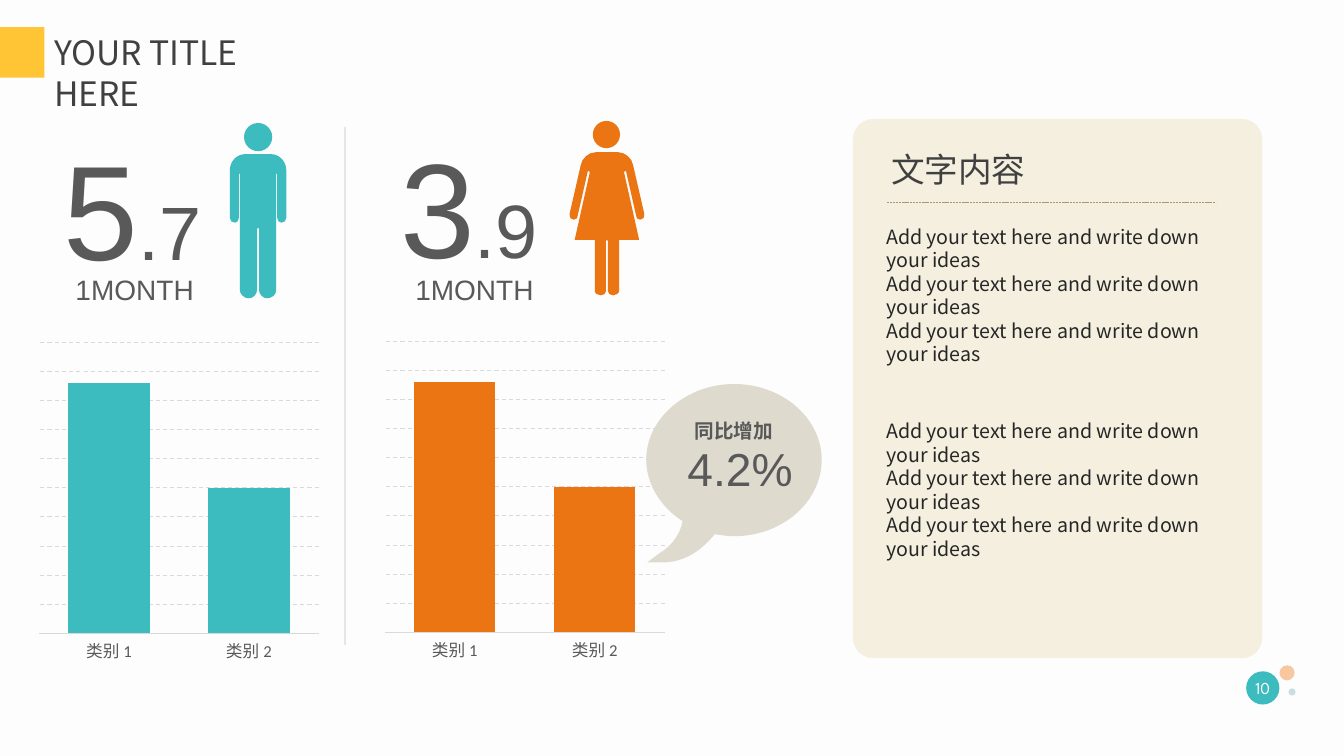
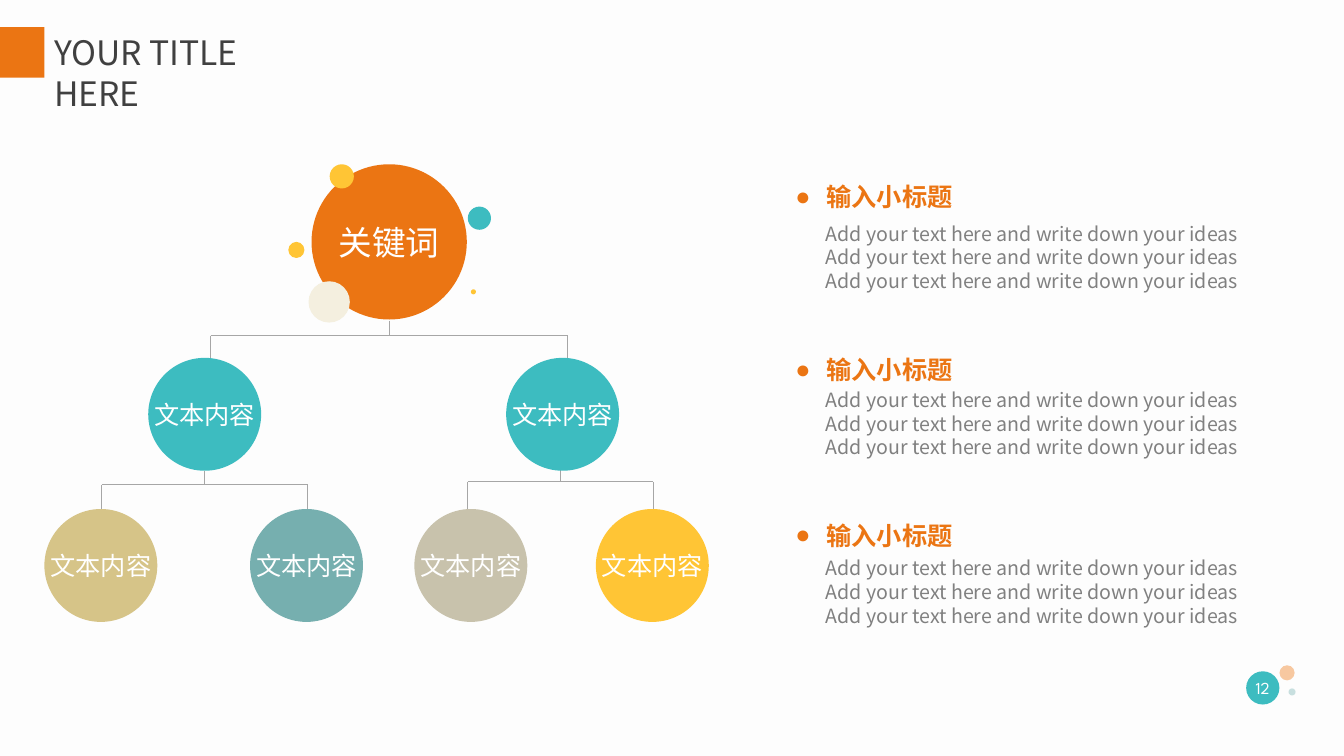
from lxml import etree
from pptx import Presentation
from pptx.chart.data import CategoryChartData
from pptx.dml.color import RGBColor
from pptx.enum.chart import XL_CHART_TYPE, XL_TICK_LABEL_POSITION, XL_TICK_MARK
from pptx.enum.dml import MSO_LINE
from pptx.enum.shapes import MSO_CONNECTOR, MSO_SHAPE
from pptx.enum.text import MSO_ANCHOR, PP_ALIGN
from pptx.oxml.ns import qn
from pptx.util import Emu, Pt

PX = 9144  # 100 px to the inch

TEAL = RGBColor(0x3D, 0xBC, 0xC0)
ORANGE = RGBColor(0xEB, 0x75, 0x13)
YELLOW = RGBColor(0xFF, 0xC5, 0x35)
CREAM = RGBColor(0xF4, 0xEF, 0xDF)
STONE = RGBColor(0xDE, 0xDA, 0xCD)
TAUPE = RGBColor(0xC8, 0xC2, 0xAC)
SAND = RGBColor(0xD6, 0xC4, 0x88)
SAGE = RGBColor(0x76, 0xAF, 0xAF)
PEACH = RGBColor(0xF7, 0xC8, 0xA0)
MIST = RGBColor(0xC8, 0xDF, 0xDF)
KHAKI = RGBColor(0xA3, 0x99, 0x74)
PAPER = RGBColor(0xFD, 0xFD, 0xFD)
WHITE = RGBColor(0xFF, 0xFF, 0xFF)
INK = RGBColor(0x26, 0x26, 0x26)
HEADING = RGBColor(0x40, 0x40, 0x40)
SLATE = RGBColor(0x59, 0x59, 0x59)
GREY = RGBColor(0x80, 0x80, 0x80)
BRANCH = RGBColor(0xA6, 0xA6, 0xA6)
GRID = RGBColor(0xD9, 0xD9, 0xD9)
RULE = RGBColor(0xE7, 0xE6, 0xE6)

SANS, ARIAL = "Noto Sans CJK SC", "Arial"
IDEAS = ["Add your text here and write down your ideas"] * 3

# Outlines: a pair is a straight step, six numbers are a Bézier curve
MAN_HALF = [
    (256, 153), (243, 153), (235, 153, 228, 160, 228, 169), (228, 216),
    (228, 219, 230, 221, 233, 221), (235, 221, 237, 219, 237, 216),
    (237, 173), (238, 172), (238, 288), (238, 292, 242, 296, 247, 296),
    (251, 296, 255, 292, 255, 288), (255, 227), (256, 226),
]
WOMAN_HALF = [
    (602, 151), (591, 151), (584, 151, 577, 157, 576, 164), (565, 212),
    (565, 216, 566, 218, 569, 218), (572, 218, 573, 216, 573, 214),
    (583, 170), (583, 169, 585, 169, 585, 171), (570, 238), (590, 238),
    (590, 289), (590, 291, 593, 293, 596, 293),
    (599, 293, 601, 291, 601, 289), (601, 239), (602, 238),
]
BUBBLE = [
    (728, 381), (681, 381, 641, 415, 641, 456),
    (641, 480, 655, 503, 677, 517), (676, 523, 672, 538, 654, 549),
    (642, 558), (657, 558), (686, 558, 703, 537, 709, 530),
    (715, 531, 722, 532, 728, 532), (776, 532, 815, 498, 815, 456),
    (815, 415, 776, 381, 728, 381),
]


def mirror(half):
    """Close a left half with its reflection about its first point."""
    axis = half[0][0]
    steps = list(half)
    for before, step in zip(half[-2::-1], half[:0:-1]):
        back = before[-2:]
        if len(step) == 6:
            back = step[2:4] + step[:2] + back
        steps.append(tuple(v if i % 2 else 2 * axis - v for i, v in enumerate(back)))
    return steps


class Deck:
    def __init__(self):
        self.prs = Presentation()
        self.prs.slide_width, self.prs.slide_height = Emu(1333 * PX), Emu(750 * PX)
        fill = self.prs.slide_master.background.fill
        fill.solid()
        fill.fore_color.rgb = PAPER
        self.s = None

    def slide(self, number, color):
        """Start a slide with the shared footer, title tab and title."""
        self.s = self.prs.slides.add_slide(self.prs.slide_layouts[6])
        self.circle(1236, 666, 33, TEAL, number, 12, "League Spartan")
        self.circle(1269, 660, 15, PEACH)
        self.circle(1278, 683, 7, MIST)
        self.shape(MSO_SHAPE.RECTANGLE, 0, 27, 44, 50, color)
        self.text(44, 27, 230, 50, ["YOUR TITLE HERE"], 24, HEADING)

    def paint(self, sp, color):
        sp.shadow.inherit = False
        sp.fill.solid()
        sp.fill.fore_color.rgb = color
        sp.line.fill.background()
        return sp

    def shape(self, kind, x, y, w, h, color):
        box = [Emu(v * PX) for v in (x, y, w, h)]
        return self.paint(self.s.shapes.add_shape(kind, *box), color)

    def outline(self, steps, color):
        points = [step[i:i + 2] for step in steps for i in range(0, len(step), 2)]
        builder = self.s.shapes.build_freeform(*points[0], scale=PX)
        builder.add_line_segments(points[1:], close=True)
        sp = self.paint(builder.convert_to_shape(), color)
        # Join each run of three points that belongs to a curve
        segments = iter(list(sp._element.iter(qn("a:lnTo"))))
        for step in steps[1:]:
            parts = [next(segments) for _ in range(len(step) // 2)]
            if len(parts) == 3:
                curve = etree.Element(qn("a:cubicBezTo"))
                parts[0].addprevious(curve)
                for part in parts:
                    curve.append(part[0])
                    part.getparent().remove(part)

    def circle(self, x, y, d, color, label=None, size=18, font=SANS):
        sp = self.shape(MSO_SHAPE.OVAL, x, y, d, d, color)
        if label:
            tf = self.frame(sp, False, 0, MSO_ANCHOR.MIDDLE)
            p = tf.paragraphs[0]
            p.alignment = PP_ALIGN.CENTER
            self.run(p, label, size, WHITE, font)

    def frame(self, sp, wrap, inset, anchor):
        tf = sp.text_frame
        style = {"word_wrap": wrap, "vertical_anchor": anchor,
                 "margin_left": Emu(inset * PX), "margin_right": Emu(inset * PX),
                 "margin_top": Emu(inset * PX // 2), "margin_bottom": Emu(inset * PX // 2)}
        for name, value in style.items():
            setattr(tf, name, value)
        return tf

    def run(self, p, text, size, color, font, bold=False):
        r = p.add_run()
        r.text = text
        for name, value in {"size": Pt(size), "name": font, "bold": bold}.items():
            setattr(r.font, name, value)
        r.font.color.rgb = color
        latin = r.font._element.find(qn("a:latin"))
        latin.addnext(etree.Element(qn("a:ea"), typeface=SANS))

    def text(self, x, y, w, h, lines, size, color, font=SANS, bold=False,
             wrap=True, align=PP_ALIGN.LEFT, bullet=None):
        """Write one paragraph a line; a line may be a list of (text, size)."""
        sp = self.s.shapes.add_textbox(*[Emu(v * PX) for v in (x, y, w, h)])
        tf = self.frame(sp, wrap, 10, MSO_ANCHOR.TOP)
        for i, line in enumerate(lines):
            p = tf.add_paragraph() if i else tf.paragraphs[0]
            p.alignment = align
            if isinstance(line, str):
                p.line_spacing = Pt(round(size * 1.2, 1))
                line = [(line, size)]
            for part, part_size in line:
                self.run(p, part, part_size, color, font, bold)
            if bullet:
                pPr = p._p.get_or_add_pPr()
                pPr.set("marL", str(31 * PX))
                pPr.set("indent", str(-31 * PX))
                etree.SubElement(pPr, qn("a:buFont"), typeface=ARIAL)
                etree.SubElement(pPr, qn("a:buChar"), char=bullet)

    def line(self, x1, y1, x2, y2, color, width=0.5, dash=None):
        ends = [Emu(v * PX) for v in (x1, y1, x2, y2)]
        c = self.s.shapes.add_connector(MSO_CONNECTOR.STRAIGHT, *ends)
        c.line.color.rgb = color
        c.line.width = Pt(width)
        if dash:
            c.line.dash_style = dash
        etree.SubElement(c._element.spPr, qn("a:effectLst"))

    def tree(self, trunk, top, bar, left, right, bottom):
        """Join a parent to two children below it."""
        for ends in ((trunk, top, trunk, bar), (left, bar, right, bar),
                     (left, bar, left, bottom), (right, bar, right, bottom)):
            self.line(*ends, BRANCH)

    def columns(self, x, y, color):
        data = CategoryChartData()
        data.categories = ["类别 1", "类别 2"]
        data.add_series("Series 1", (100, 58))
        box = [Emu(v * PX) for v in (x, y, 289, 331)]
        chart = self.s.shapes.add_chart(XL_CHART_TYPE.COLUMN_CLUSTERED, *box, data).chart
        chart.has_legend = chart.has_title = False
        chart.font.name, chart.font.size = "Calibri", Pt(10)
        plot = chart.plots[0]
        for name, value in {"gap_width": 72, "overlap": -15, "vary_by_categories": False}.items():
            setattr(plot, name, value)
        fill = plot.series[0].format.fill
        fill.solid()
        fill.fore_color.rgb = color
        cat, val = chart.category_axis, chart.value_axis
        cat.major_tick_mark = XL_TICK_MARK.NONE
        cat.tick_labels.font.size = Pt(11.9)
        cat.tick_labels.font.name = "Calibri"
        cat.tick_labels.font.color.rgb = SLATE
        axis = {"minimum_scale": 0, "maximum_scale": 116.3, "major_unit": 11.63,
                "major_tick_mark": XL_TICK_MARK.NONE,
                "tick_label_position": XL_TICK_LABEL_POSITION.NONE, "visible": False}
        for name, value in axis.items():
            setattr(val, name, value)
        grid = val.major_gridlines.format.line
        for rule in (cat.format.line, grid):
            rule.color.rgb = GRID
            rule.width = Pt(0.75)
        grid.dash_style = MSO_LINE.DASH


def comparison(deck):
    deck.slide("10", YELLOW)
    # Man and woman
    deck.circle(242, 122, 28, TEAL)
    deck.outline(mirror(MAN_HALF), TEAL)
    deck.circle(588, 120, 27, ORANGE)
    deck.outline(mirror(WOMAN_HALF), ORANGE)
    # Key figures
    for x, y, month_x, whole, decimal in ((53, 120, 65, "5", ".7"), (387, 118, 402, "3", ".9")):
        deck.text(x, y, 158, 172, [[(whole, 96), (decimal, 54)]], 96, SLATE, ARIAL, wrap=False)
        deck.text(month_x, 265, 139, 44, [[("1MONTH", 20)]], 20, SLATE, ARIAL, wrap=False)
    deck.line(342, 126, 342, 640, RULE, 1.25)
    # Text panel
    panel = deck.shape(MSO_SHAPE.ROUNDED_RECTANGLE, 846, 118, 406, 535, CREAM)
    panel.adjustments[0] = 0.05
    deck.text(874, 143, 155, 50, ["文字内容"], 24, HEADING, ARIAL, wrap=False)
    deck.line(880, 201, 1206, 201, KHAKI, 0.5, MSO_LINE.SQUARE_DOT)
    for y in (218, 411):
        deck.text(869, y, 361, 175, IDEAS, 14, INK)
    # Speech bubble
    deck.outline(BUBBLE, STONE)
    deck.text(671, 411, 114, 34, ["同比增加"], 14, SLATE, ARIAL, True, align=PP_ALIGN.CENTER)
    deck.text(672, 432, 126, 66, ["4.2%"], 33, SLATE, ARIAL, wrap=False)
    # Charts
    deck.columns(33, 333, TEAL)
    deck.columns(376, 332, ORANGE)


def keyword_tree(deck):
    deck.slide("12", ORANGE)
    # Branches
    deck.tree(386, 318, 333, 209, 563, 361)
    deck.tree(203, 467, 481, 101, 305, 508)
    deck.tree(556, 464, 478, 464, 648, 506)
    # Keyword and its bubbles
    deck.circle(309, 163, 154, ORANGE, "关键词", 24)
    for x, y, d, color in ((327, 163, 24, YELLOW), (286, 240, 16, YELLOW), (467, 287, 5, YELLOW),
                           (464, 205, 23, TEAL), (306, 279, 41, CREAM)):
        deck.circle(x, y, d, color)
    # Nodes
    for x, y, color in ((147, 355, TEAL), (502, 355, TEAL), (44, 505, SAND),
                        (248, 505, SAGE), (411, 505, TAUPE), (591, 505, YELLOW)):
        deck.circle(x, y, 112, color, "文本内容")
    # Side notes
    for heading_y, body_y in ((175, 215), (347, 380), (511, 547)):
        deck.text(779, heading_y, 510, 40, ["输入小标题"], 18, ORANGE, bold=True, bullet="●")
        deck.text(809, body_y, 480, 81, IDEAS, 14, GREY)


def main():
    deck = Deck()
    comparison(deck)
    keyword_tree(deck)
    deck.prs.save("out.pptx")


if __name__ == "__main__":
    main()
